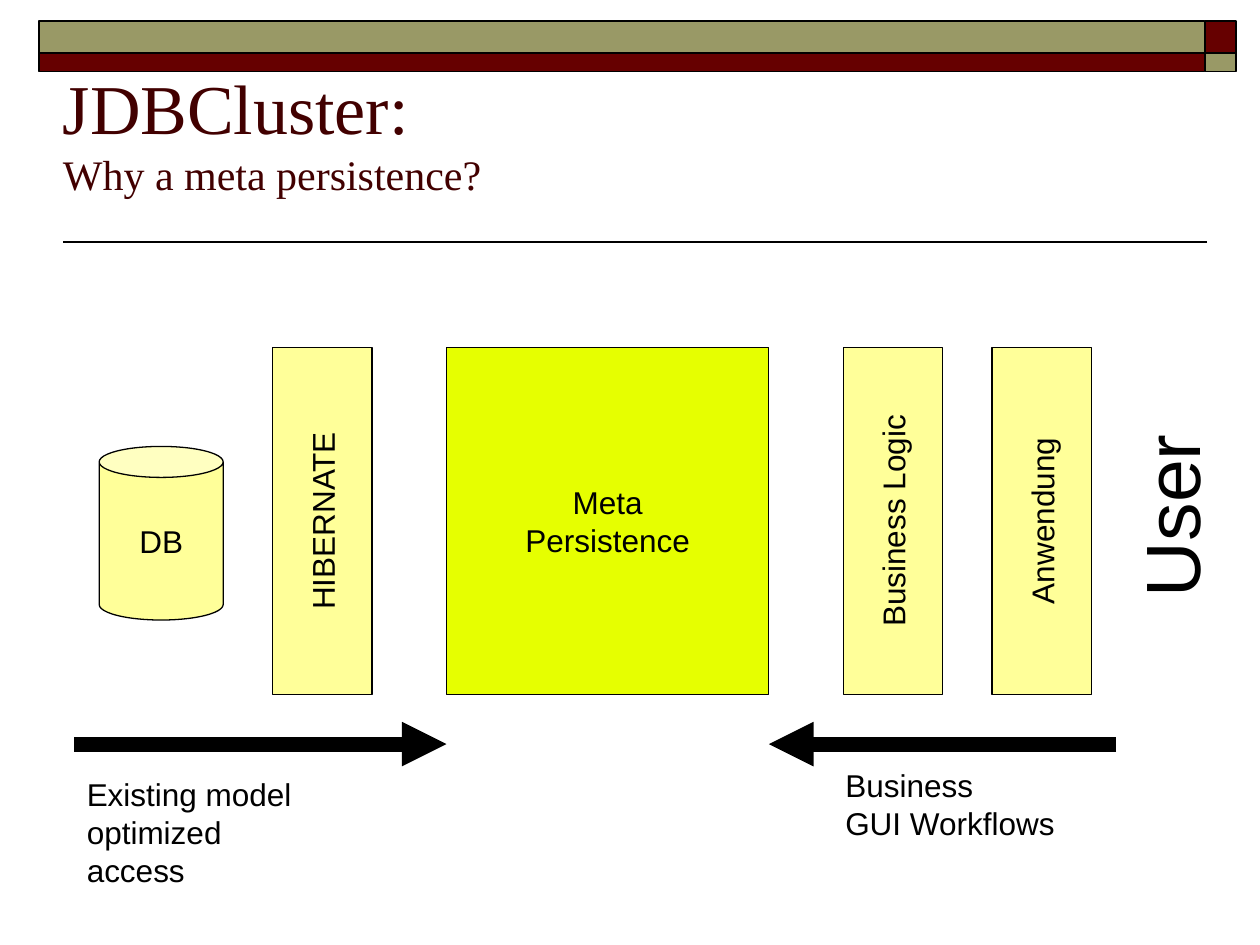
from dataclasses import dataclass

from lxml import etree
from pptx import Presentation
from pptx import util as u
from pptx.dml.color import RGBColor
from pptx.enum import shapes, text
from pptx.oxml.ns import qn

CELL = u.Cm(0.5)
BLACK, MAROON, OLIVE = "000000", "660000", "999966"
PALE, LIME, TITLE = "FFFF99", "E6FF00", "420000"


@dataclass
class Area:
    column: float
    row: float
    columns: float
    rows: float

    def lengths(self) -> list[int]:
        return [grid(value) for value in (self.column, self.row, self.columns, self.rows)]

    def turned(self) -> "Area":
        shift = (self.columns - self.rows) / 2
        return Area(self.column + shift, self.row - shift, self.rows, self.columns)


@dataclass
class Block:
    area: Area
    fill: str
    label: str = ""
    vertical: bool = False
    kind: int = shapes.MSO_SHAPE.RECTANGLE
    line_width: float = 0


@dataclass
class Caption:
    area: Area
    label: str
    size: float = 18
    vertical: bool = False


@dataclass
class Line:
    start: float
    end: float
    row: float
    width: float
    arrow: bool = False


STRIPES = [
    Block(Area(column, row, columns, rows), fill, line_width=1)
    for column, row, columns, rows, fill in (
        (48.57, 0.86, 1.27, 1.27, MAROON),
        (1.57, 0.86, 47, 1.27, OLIVE),
        (1.57, 2.13, 47, 0.76, MAROON),
        (48.57, 2.13, 1.27, 0.76, OLIVE),
    )
]
LAYERS = [
    Block(Area(column, 14, 4, 14), PALE, label, vertical=True)
    for column, label in ((11, "HIBERNATE"), (34, "Business Logic"), (40, "Anwendung"))
]
BLOCKS = [
    *STRIPES,
    Block(Area(4, 18, 5, 7), PALE, "DB", kind=shapes.MSO_SHAPE.CAN),
    *LAYERS,
    Block(Area(18, 14, 13, 14), LIME, "Meta\nPersistence"),
]
CAPTIONS = [
    Caption(Area(3, 31, 10.72, 3.35), "Existing model\noptimized access"),
    Caption(Area(33.58, 30.63, 9.45, 3.35), "Business\nGUI Workflows"),
    Caption(Area(45.03, 17, 3.96, 7.57), "User", 44, vertical=True),
]
LINES = [
    Line(48.67, 2.54, 9.75, 1),
    Line(3, 18, 30, 8.5, arrow=True),
    Line(45, 31, 30, 8.5, arrow=True),
]


def grid(cells: float) -> int:
    return round(cells * CELL)


def color(value: str) -> RGBColor:
    return RGBColor.from_string(value)


def format_font(font, size: float, name: str = "Arial", fill: str = BLACK) -> None:
    font.size = u.Pt(size)
    font.name = name
    font.color.rgb = color(fill)


def write(frame, label: str, size: float, alignment) -> None:
    frame.text = label
    for paragraph in frame.paragraphs:
        paragraph.alignment = alignment
        for run in paragraph.runs:
            format_font(run.font, size)


def add_block(slide, block: Block) -> None:
    area = block.area.turned() if block.vertical else block.area
    shape = slide.shapes.add_shape(block.kind, *area.lengths())
    shape.shadow.inherit = False
    shape.fill.solid()
    shape.fill.fore_color.rgb = color(block.fill)
    shape.line.color.rgb = color(BLACK)
    shape.line.width = u.Pt(block.line_width)
    if block.vertical:
        shape.rotation = 270
    if block.label:
        shape.text_frame.vertical_anchor = text.MSO_ANCHOR.MIDDLE
        write(shape.text_frame, block.label, 18, text.PP_ALIGN.CENTER)


def add_caption(slide, caption: Caption) -> None:
    area = caption.area.turned() if caption.vertical else caption.area
    shape = slide.shapes.add_textbox(*area.lengths())
    shape.text_frame.word_wrap = False
    if caption.vertical:
        shape.rotation = 270
    write(shape.text_frame, caption.label, caption.size, text.PP_ALIGN.LEFT)


def add_line(slide, line: Line) -> None:
    row = grid(line.row)
    connector = slide.shapes.add_connector(
        shapes.MSO_CONNECTOR.STRAIGHT, grid(line.start), row, grid(line.end), row
    )
    connector.line.color.rgb = color(BLACK)
    connector.line.width = u.Pt(line.width)
    if line.arrow:
        outline = connector.line._get_or_add_ln()
        etree.SubElement(outline, qn("a:tailEnd"), type="triangle")
    etree.SubElement(connector._element.spPr, qn("a:effectLst"))


def add_title(slide) -> None:
    frame = slide.shapes.add_textbox(*Area(2.54, 1.32, 45.72, 7.98).lengths()).text_frame
    frame.word_wrap = True
    frame.vertical_anchor = text.MSO_ANCHOR.MIDDLE
    frame.margin_left = frame.margin_right = frame.margin_top = frame.margin_bottom = 0
    frame.text = "JDBCluster:\vWhy a meta persistence?"
    for run, size in zip(frame.paragraphs[0].runs, (40, 24)):
        format_font(run.font, size, "Times New Roman", TITLE)


def main() -> None:
    presentation = Presentation()
    presentation.slide_width = u.Inches(10)
    presentation.slide_height = u.Inches(7.5)
    slide = presentation.slides.add_slide(presentation.slide_layouts[6])
    add_title(slide)
    for block in BLOCKS:
        add_block(slide, block)
    for caption in CAPTIONS:
        add_caption(slide, caption)
    for line in LINES:
        add_line(slide, line)
    presentation.save("out.pptx")


if __name__ == "__main__":
    main()
